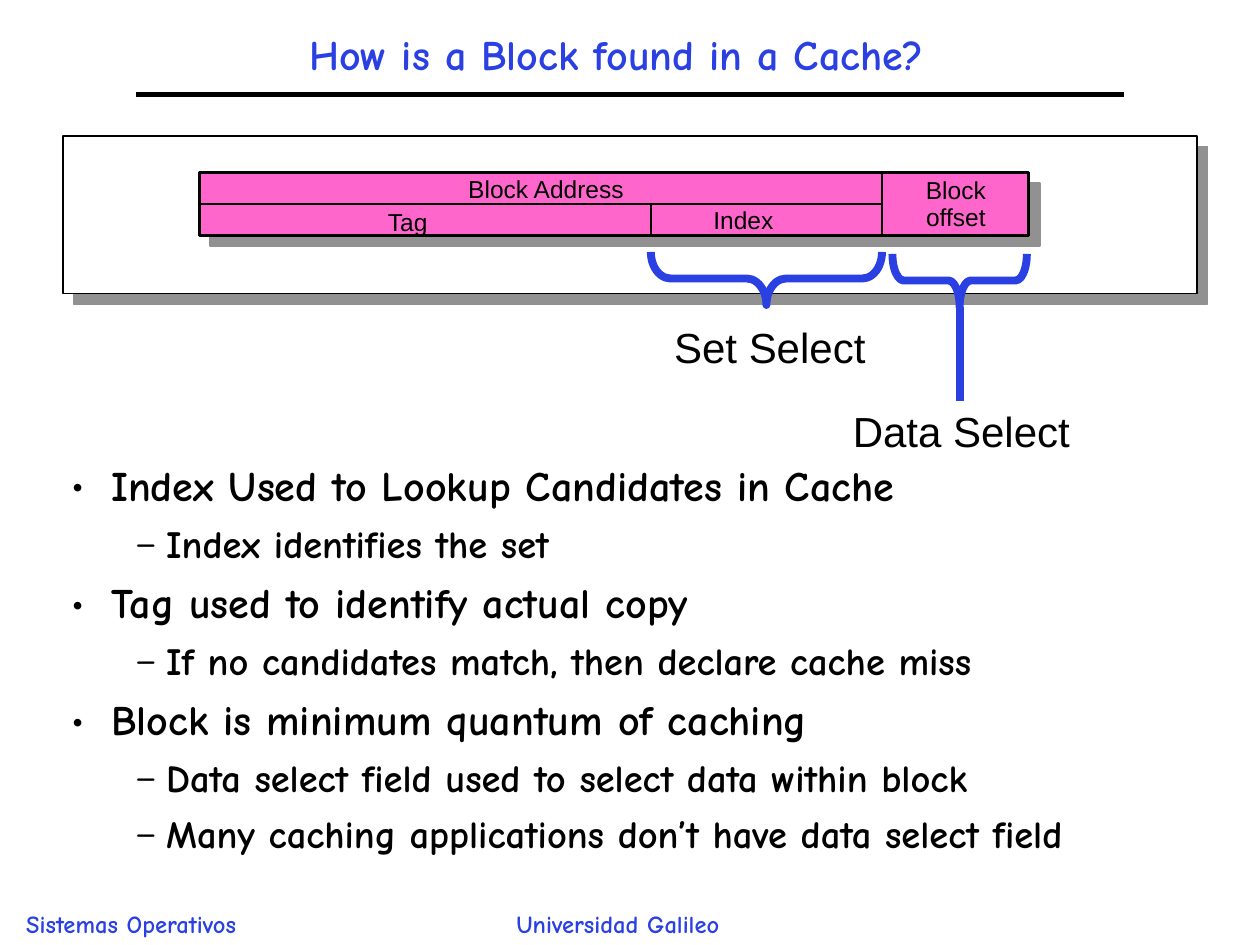
import lxml.etree
from dataclasses import dataclass

import pptx
import pptx.dml.color
import pptx.enum.shapes
import pptx.enum.text
import pptx.oxml.ns
import pptx.util

Cm = pptx.util.Cm
Pt = pptx.util.Pt
qn = pptx.oxml.ns.qn
SHAPE = pptx.enum.shapes.MSO_SHAPE
LEFT = pptx.enum.text.PP_ALIGN.LEFT
CENTER = pptx.enum.text.PP_ALIGN.CENTER

COLORS = {"ink": "000000", "blue": "2A40E2", "pink": "FF66CC",
          "paper": "FFFFFF", "shadow": "919191"}
HAND, SANS = "Comic Neue", "Arial"

# Edges of the address fields, in centimetres
TAG_LEFT, INDEX_LEFT, OFFSET_LEFT, OFFSET_RIGHT = 4.02, 13.12, 17.78, 20.74
ADDRESS_TOP, ADDRESS_MIDDLE, ADDRESS_BOTTOM = 3.48, 4.11, 4.75
BRACE_DEPTH = 1.07
DATA_BRACE_LEFT, DATA_BRACE_RIGHT, DATA_BRACE_TOP = 17.99, 20.7, 5.12


@dataclass
class Field:
    left: float
    top: float
    right: float
    bottom: float
    fill: str | None = None
    line_width: float = 1
    shadow: bool = False


@dataclass
class Label:
    text: str
    left: float
    top: float
    width: float
    height: float
    size: float = 14
    font: str = SANS
    color: str = "ink"
    bold: bool = False
    align: int = LEFT
    spacing: float = 1.0
    middle: bool = False


@dataclass
class Brace:
    left: float
    right: float
    top: float
    curve: float


@dataclass
class BulletStyle:
    mark: str
    size: float
    indent: float
    hanging: float
    space_before: float


FIELDS = [
    Field(1.27, 2.74, 24.13, 5.92, "paper", 1, True),
    Field(TAG_LEFT, ADDRESS_TOP, OFFSET_RIGHT, ADDRESS_BOTTOM, "pink", 1.5, True),
    Field(TAG_LEFT, ADDRESS_MIDDLE, OFFSET_LEFT, ADDRESS_BOTTOM),
    Field(INDEX_LEFT, ADDRESS_MIDDLE, OFFSET_LEFT, ADDRESS_BOTTOM),
    Field(OFFSET_LEFT, ADDRESS_TOP, OFFSET_RIGHT, ADDRESS_BOTTOM),
]
LABELS = [
    Label("Sistemas Operativos", 0.28, 18.21, 4.78, 0.84, 14, HAND, "blue", True),
    Label("Universidad Galileo", 10.16, 18.21, 4.6, 0.84, 14, HAND, "blue", True),
    Label("How is a Block found in a Cache?", 2.13, 0.64, 20.6, 1.02, 24, HAND,
          "blue", True, CENTER, 0.9, True),
    Label("Block\noffset", 18.07, 3.48, 2.4, 1.32, align=CENTER, spacing=0.9),
    Label("Block Address", 9.19, 3.38, 3.9, 0.86),
    Label("Tag", 7.57, 4.04, 1.6, 0.86),
    Label("Index", 14.13, 4, 2.2, 0.86),
    Label("Set Select", 13.34, 6.35, 4.6, 1.27, 24),
    Label("Data Select", 16.88, 8.05, 5, 1.27, 24, align=CENTER),
]
BRACES = [
    Brace(INDEX_LEFT, OFFSET_LEFT, 5.08, 0.37),
    Brace(DATA_BRACE_LEFT, DATA_BRACE_RIGHT, DATA_BRACE_TOP, 0.21),
]
BULLET_STYLES = [BulletStyle("•", 24, 0.79, 0.79, 9),
                 BulletStyle("–", 22, 1.9, 0.64, 8.2)]
BULLETS = [
    (0, "Index Used to Lookup Candidates in Cache"),
    (1, "Index identifies the set"),
    (0, "Tag used to identify actual copy"),
    (1, "If no candidates match, then declare cache miss"),
    (0, "Block is minimum quantum of caching"),
    (1, "Data select field used to select data within block"),
    (1, "Many caching applications don’t have data select field"),
]


def rgb(name: str) -> pptx.dml.color.RGBColor:
    return pptx.dml.color.RGBColor.from_string(COLORS[name])


def style_font(para, name: str, size: float, color: str, bold: bool) -> None:
    para.font.name, para.font.size, para.font.bold = name, Pt(size), bold
    para.font.color.rgb = rgb(color)


def add_hard_shadow(shape) -> None:
    """Give the shape an unblurred shadow to its lower right."""
    effects = shape._element.spPr.find(qn("a:effectLst"))
    shadow = lxml.etree.SubElement(effects, qn("a:outerShdw"), blurRad="0",
                                   dist=str(Pt(8.5)), dir="2700000",
                                   algn="ctr", rotWithShape="0")
    lxml.etree.SubElement(shadow, qn("a:srgbClr"), val=COLORS["shadow"])


def add_field(slide, field: Field) -> None:
    box = slide.shapes.add_shape(
        SHAPE.RECTANGLE, Cm(field.left), Cm(field.top),
        Cm(field.right - field.left), Cm(field.bottom - field.top))
    box.shadow.inherit = False
    if field.fill:
        box.fill.solid()
        box.fill.fore_color.rgb = rgb(field.fill)
    else:
        box.fill.background()
    box.line.color.rgb = rgb("ink")
    box.line.width = Pt(field.line_width)
    if field.shadow:
        add_hard_shadow(box)


def add_label(slide, label: Label) -> None:
    box = slide.shapes.add_textbox(Cm(label.left), Cm(label.top),
                                   Cm(label.width), Cm(label.height))
    frame = box.text_frame
    frame.word_wrap = label.middle
    if label.middle:
        frame.vertical_anchor = pptx.enum.text.MSO_ANCHOR.MIDDLE
    frame.text = label.text
    for para in frame.paragraphs:
        para.alignment = label.align
        para.line_spacing = label.spacing
        style_font(para, label.font, label.size, label.color, label.bold)


def add_brace(slide, brace: Brace) -> None:
    """Draw a right brace turned a quarter so that its tip points down."""
    length = brace.right - brace.left
    center_x = (brace.left + brace.right) / 2
    center_y = brace.top + BRACE_DEPTH / 2
    shape = slide.shapes.add_shape(
        SHAPE.RIGHT_BRACE, Cm(center_x - BRACE_DEPTH / 2),
        Cm(center_y - length / 2), Cm(BRACE_DEPTH), Cm(length))
    shape.rotation = 90
    shape.adjustments[0] = brace.curve
    shape.shadow.inherit = False
    shape.fill.background()
    shape.line.color.rgb = rgb("blue")
    shape.line.width = Pt(4.5)


def add_line(slide, x1: float, y1: float, x2: float, y2: float,
             color: str, width: float) -> None:
    line = slide.shapes.add_connector(pptx.enum.shapes.MSO_CONNECTOR.STRAIGHT,
                                      Cm(x1), Cm(y1), Cm(x2), Cm(y2))
    line.line.color.rgb = rgb(color)
    line.line.width = Pt(width)
    lxml.etree.SubElement(line._element.spPr, qn("a:effectLst"))


def add_bullets(slide) -> None:
    frame = slide.shapes.add_textbox(Cm(1.27), Cm(9.3), Cm(23.06), Cm(9.32)).text_frame
    frame.word_wrap = True
    frame.margin_left = frame.margin_right = Cm(0.18)
    frame.margin_top = frame.margin_bottom = Cm(0.08)
    frame.text = "\n".join(text for _, text in BULLETS)
    for para, (level, _) in zip(frame.paragraphs, BULLETS):
        style = BULLET_STYLES[level]
        para.level = level
        para.line_spacing = 0.9
        para.space_before = Pt(style.space_before)
        style_font(para, HAND, style.size, "ink", True)
        properties = para._p.get_or_add_pPr()
        properties.set("marL", str(Cm(style.indent)))
        properties.set("indent", str(-Cm(style.hanging)))
        run_defaults = properties.find(qn("a:defRPr"))
        run_defaults.addprevious(lxml.etree.Element(qn("a:buFont"), typeface=HAND))
        run_defaults.addprevious(lxml.etree.Element(qn("a:buChar"), char=style.mark))


def main() -> None:
    deck = pptx.Presentation()
    deck.slide_width, deck.slide_height = Cm(25.4), Cm(19.05)
    slide = deck.slides.add_slide(deck.slide_layouts[6])
    add_line(slide, 2.74, 1.9, 22.66, 1.9, "ink", 3)
    add_bullets(slide)
    for field in FIELDS:
        add_field(slide, field)
    for label in LABELS:
        add_label(slide, label)
    for brace in BRACES:
        add_brace(slide, brace)
    data_x = (DATA_BRACE_LEFT + DATA_BRACE_RIGHT) / 2
    add_line(slide, data_x, DATA_BRACE_TOP + BRACE_DEPTH, data_x, 8.08, "blue", 4.5)
    deck.save("out.pptx")


if __name__ == "__main__":
    main()
